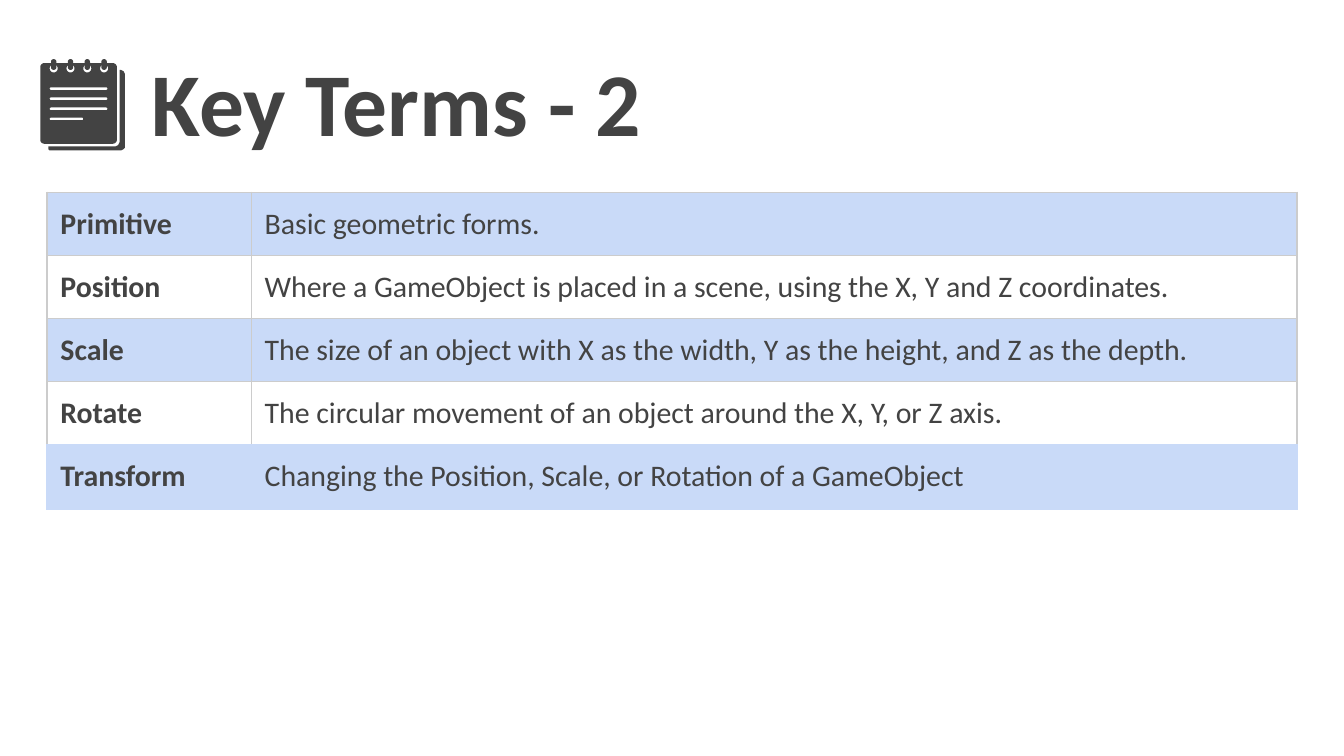
import math

import pptx
import pptx.dml.color
import pptx.oxml
import pptx.oxml.ns
import pptx.util

TITLE = "Key Terms - 2"
TERMS = [
    ("Primitive", "Basic geometric forms."),
    ("Position", "Where a GameObject is placed in a scene, using the X, Y and Z coordinates."),
    ("Scale", "The size of an object with X as the width, Y as the height, and Z as the depth."),
    ("Rotate", "The circular movement of an object around the X, Y, or Z axis."),
    ("Transform", "Changing the Position, Scale, or Rotation of a GameObject"),
]
FONT, INK, BAND, PLAIN, GRID = "Calibri", "434343", "C9DAF8", "FFFFFF", "CCCCCC"
SLIDE_WIDTH = 10
SLIDE_HEIGHT = SLIDE_WIDTH * 9 / 16
TABLE_LEFT, TABLE_TOP = 0.35, 1.43
COLUMN_WIDTHS = (1.52, 7.78)
ROW_HEIGHTS = (0.47, 0.47, 0.47, 0.47, 0.48)

# Notepad icon, in inches
PAGE_LEFT, PAGE_TOP, PAGE_WIDTH, PAGE_HEIGHT = 0.3, 0.47, 0.57, 0.6
RING_CENTRES = [0.4 + 0.125 * i for i in range(4)]
RULE_WIDTHS = (0.43, 0.43, 0.43, 0.25)

inches = pptx.util.Inches


def color(hex_string):
    return pptx.dml.color.RGBColor.from_string(hex_string)


def style_text(frame, size, bold):
    font = frame.paragraphs[0].runs[0].font
    font.name, font.size, font.bold = FONT, pptx.util.Pt(size), bold
    font.color.rgb = color(INK)


def set_margins(holder):
    holder.margin_left = holder.margin_right = inches(0.1)
    holder.margin_top = holder.margin_bottom = inches(0.1)


def rounded_box(left, top, width, height, radius):
    """Corner points of a box whose corners are quarter circles."""
    right, bottom = left + width - radius, top + height - radius
    centres = [(right, bottom), (left + radius, bottom),
               (left + radius, top + radius), (right, top + radius)]
    return [(x + radius * math.cos(math.radians(90 * corner + step)),
             y + radius * math.sin(math.radians(90 * corner + step)))
            for corner, (x, y) in enumerate(centres)
            for step in range(0, 91, 15)]


def add_outline(shapes, *contours):
    """One filled freeform; contours after the first cut holes."""
    paths = [[(inches(x), inches(y)) for x, y in contour] for contour in contours]
    builder = shapes.build_freeform(*paths[0][0])
    builder.add_line_segments(paths[0][1:], close=True)
    for path in paths[1:]:
        builder.move_to(*path[0])
        builder.add_line_segments(path[1:], close=True)
    outline = builder.convert_to_shape()
    outline.shadow.inherit = False
    outline.fill.solid()
    outline.fill.fore_color.rgb = color(INK)
    outline.line.fill.background()


def add_notepad(shapes):
    back_page = [(0.89, 0.52), (0.89, 1.06), (0.88, 1.08), (0.86, 1.09), (0.36, 1.09),
                 (0.36, 1.11), (0.37, 1.12), (0.39, 1.12), (0.9, 1.12), (0.92, 1.11),
                 (0.93, 1.1), (0.93, 0.55), (0.92, 0.53), (0.9, 0.52)]
    add_outline(shapes, back_page)
    for centre in RING_CENTRES:
        add_outline(shapes, rounded_box(centre - 0.02, 0.44, 0.04, 0.08, 0.02))
    page = rounded_box(PAGE_LEFT, PAGE_TOP, PAGE_WIDTH, PAGE_HEIGHT, 0.03)
    holes = [rounded_box(centre - 0.03, 0.48, 0.06, 0.06, 0.03) for centre in RING_CENTRES]
    rules = [rounded_box(0.37, 0.65 + 0.075 * i, width, 0.02, 0.01)
             for i, width in enumerate(RULE_WIDTHS)]
    add_outline(shapes, page, *holes, *rules)


def set_borders(cell, **side_colors):
    properties = cell._tc.get_or_add_tcPr()
    for side in "LRTB":
        properties.append(pptx.oxml.parse_xml(
            f'<a:ln{side} {pptx.oxml.ns.nsdecls("a")} w="{pptx.util.Pt(0.75)}"><a:solidFill>'
            f'<a:srgbClr val="{side_colors[side]}"/></a:solidFill></a:ln{side}>'))


def add_terms(shapes):
    table = shapes.add_table(
        len(TERMS), len(COLUMN_WIDTHS), inches(TABLE_LEFT), inches(TABLE_TOP),
        inches(sum(COLUMN_WIDTHS)), inches(sum(ROW_HEIGHTS))).table
    table.first_row = table.horz_banding = False
    for column, width in zip(table.columns, COLUMN_WIDTHS):
        column.width = inches(width)
    last = len(TERMS) - 1
    for row, entry in enumerate(TERMS):
        table.rows[row].height = inches(ROW_HEIGHTS[row])
        edge = BAND if row == last else GRID
        bottom = BAND if row >= last - 1 else GRID
        for column, wording in enumerate(entry):
            cell = table.cell(row, column)
            cell.text_frame.text = wording
            style_text(cell.text_frame, 16, bold=column == 0)
            set_margins(cell)
            set_borders(cell, L=edge, R=edge, T=bottom if row == last else GRID, B=bottom)
            cell.fill.solid()
            cell.fill.fore_color.rgb = color(PLAIN if row % 2 else BAND)


def main():
    deck = pptx.Presentation()
    deck.slide_width, deck.slide_height = inches(SLIDE_WIDTH), inches(SLIDE_HEIGHT)
    shapes = deck.slides.add_slide(deck.slide_layouts[6]).shapes

    title = shapes.add_textbox(inches(1.03), inches(0.25), inches(4.75), inches(0.87)).text_frame
    title.word_wrap = True
    title.text = TITLE
    set_margins(title)
    style_text(title, 48, bold=True)

    add_notepad(shapes.add_group_shape().shapes)
    add_terms(shapes)
    deck.save("out.pptx")


if __name__ == "__main__":
    main()
